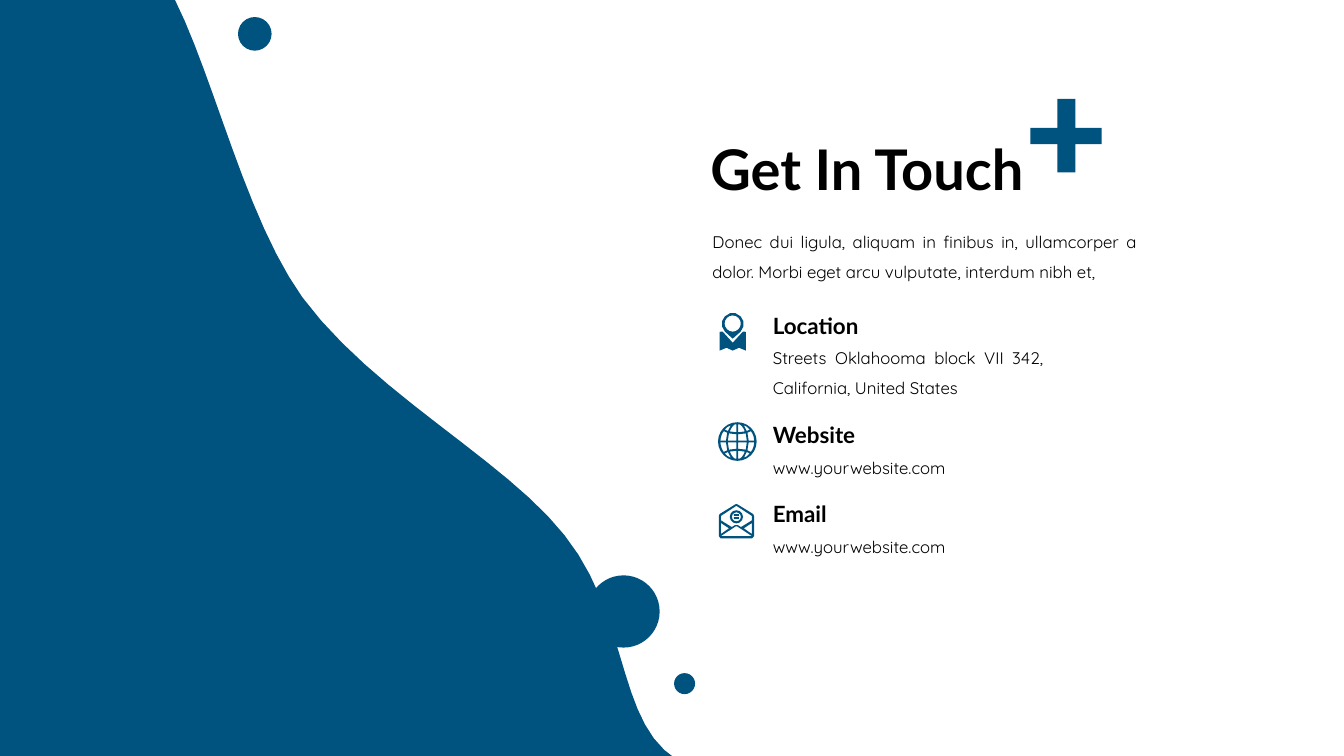
"""Build a contact slide with a blue wave, dots, icons and contact details."""
import math
import pptx
import pptx.dml.color
import pptx.enum.shapes
import pptx.enum.text
import pptx.util

Pt = pptx.util.Pt
color = pptx.dml.color.RGBColor.from_string
BLUE = "00527F"
BLACK = "000000"

deck = pptx.Presentation()
deck.slide_width, deck.slide_height = Pt(960), Pt(540)
page = deck.slides.add_slide(deck.slide_layouts[6])


def add_text(text, left, top, width, height, size=12, font="Quicksand", bold=False,
             spacing=1.5, align=pptx.enum.text.PP_ALIGN.JUSTIFY,
             anchor=pptx.enum.text.MSO_ANCHOR.TOP,
             fit=pptx.enum.text.MSO_AUTO_SIZE.SHAPE_TO_FIT_TEXT):
    box = page.shapes.add_textbox(Pt(left), Pt(top), Pt(width), Pt(height))
    frame = box.text_frame
    frame.word_wrap = True
    frame.auto_size = fit
    frame.vertical_anchor = anchor
    para = frame.paragraphs[0]
    para.alignment = align
    para.line_spacing = spacing
    span = para.add_run()
    span.text = text
    span.font.size = Pt(size)
    span.font.name = font
    span.font.bold = bold
    span.font.color.rgb = color(BLACK)


def add_outline(contours, pieces):
    """Draw closed contours: 2 numbers make a line, 6 make a curve of some pieces."""
    builder = None
    for contour in contours:
        points = []
        for step in contour:
            if len(step) == 2:
                points.append(step)
                continue
            x0, y0 = points[-1]
            x1, y1, x2, y2, x3, y3 = step
            for i in range(1, pieces + 1):
                t = i / pieces
                a, b, c, d = (1 - t) ** 3, 3 * t * (1 - t) ** 2, 3 * t * t * (1 - t), t ** 3
                points.append((a * x0 + b * x1 + c * x2 + d * x3,
                               a * y0 + b * y1 + c * y2 + d * y3))
        corners = [(Pt(x), Pt(y)) for x, y in points]
        if builder is None:
            builder = page.shapes.build_freeform(*corners[0], scale=1.0)
        else:
            builder.move_to(*corners[0])
        builder.add_line_segments(corners[1:], close=True)
    return builder.convert_to_shape()


circles = {
    name: [(x + radius * math.cos(math.tau * i / count),
            y + radius * math.sin(math.tau * i / count)) for i in range(count)]
    for name, x, y, radius, count in [
        ("pin hole", 523.4, 231.1, 5.8, 16),
        ("globe", 526.7, 315.4, 13.8, 24),
        ("seal", 526, 369.2, 4.7, 12),
        ("seal hole", 526, 369.2, 3.2, 12),
    ]
}

wave = [[(0, 0), (125, 0),
         (153.4, 56.9, 175.7, 156.2, 216, 212.4),
         (266.4, 280.8, 360.7, 328.3, 403.2, 382.3),
         (446.4, 436.3, 441.4, 505.4, 474.5, 535.7),
         (480, 540), (0, 540)]]

plus = [[(755.3, 70.6), (768.2, 70.6), (768.2, 91.4), (787, 91.4), (787, 103), (768.2, 103),
         (768.2, 123.1), (755.3, 123.1), (755.3, 103), (736, 103), (736, 91.4), (755.3, 91.4)]]

pin = [
    [(523.4, 241.9), (529.1, 236.8), (532, 233.5, 532, 229, 529.1, 226),
     (525.7, 222.6, 521.2, 222.6, 517.8, 226), (514.8, 229, 514.8, 233.5, 517.8, 236.8)],
    circles["pin hole"],
    [(514.1, 237), (516.2, 236.9), (523.4, 244.8), (530.7, 236.9), (532.8, 237),
     (532.8, 250.4), (527.9, 248.4), (523.4, 250.4), (519, 248.4), (514.1, 250.4)],
]

quarter_cells = [
    [(0.6, 12.2), (0.6, 6.6), (5.4, 7.2), (4.5, 9.5, 3.2, 11.5, 1.8, 12.2)],
    [(0.6, 0.6), (6.8, 0.6), (6, 5.8), (0.6, 5.2)],
    [(8.1, 0.6), (12.1, 0.6), (11.9, 3.4, 11.1, 5.7, 9.7, 7.4), (7.2, 6.3)],
    [(8.9, 8.5), (6.7, 7.5), (4.7, 11.6), (7, 10.4)],
]
globe = [circles["globe"]]
for flip_x in (1, -1):
    for flip_y in (1, -1):
        for cell in quarter_cells:
            globe.append([
                tuple(315.4 + flip_y * value if i % 2 else 526.7 + flip_x * value
                      for i, value in enumerate(step))
                for step in cell])

envelope = [
    [(514, 367.2), (525, 360.4), (526, 360), (527, 360.4), (538, 367.2),
     (538.6, 368.6), (538.6, 383), (537.2, 384.6), (514.8, 384.6),
     (513.4, 383), (513.4, 368.6)],
    [(514.9, 373.6), (520.7, 377.4), (514.9, 381.5)],
    [(537.1, 373.6), (531.3, 377.4), (537.1, 381.5)],
    [(514.9, 383), (525.5, 376), (526.5, 376), (537.1, 383)],
    [(514.9, 371.7), (514.9, 368.6), (525.6, 361.6), (526.4, 361.6), (537.1, 368.6),
     (537.1, 371.7), (529.3, 376.5), (527, 375.1), (525, 375.1), (522.7, 376.5)],
    circles["seal"],
    circles["seal hole"],
]
for bar_top in (367.2, 369.4):
    envelope.append([(524.2, bar_top), (527.8, bar_top),
                     (527.8, bar_top + 1.3), (524.2, bar_top + 1.3)])

blue_shapes = [add_outline(wave, 12)]
for outline in (plus, pin, globe, envelope):
    blue_shapes.append(add_outline(outline, 3))
for left, top, diameter in [(170, 12.2, 24), (481.5, 480.8, 15), (419.6, 411, 51.6)]:
    blue_shapes.append(page.shapes.add_shape(
        pptx.enum.shapes.MSO_SHAPE.OVAL, Pt(left), Pt(top), Pt(diameter), Pt(diameter)))
for shape in blue_shapes:
    shape.shadow.inherit = False
    shape.fill.solid()
    shape.fill.fore_color.rgb = color(BLUE)
    shape.line.fill.background()

add_text("Get In Touch", 500.4, 70.6, 365.8, 104.4, size=40, font="Lato", bold=True,
         spacing=0.9, align=pptx.enum.text.PP_ALIGN.LEFT,
         anchor=pptx.enum.text.MSO_ANCHOR.MIDDLE, fit=pptx.enum.text.MSO_AUTO_SIZE.NONE)
add_text("Donec dui ligula, aliquam in finibus in, ullamcorper a dolor. "
         "Morbi eget arcu vulputate, interdum nibh et,", 501.8, 154.8, 317.5, 51.1)

for heading, detail, top, width, height in [
    ("Location", "Streets Oklahooma block VII 342, California, United States", 209.5, 207.4, 51.1),
    ("Website", "www.yourwebsite.com", 288, 187.2, 28.8),
    ("Email", "www.yourwebsite.com", 344.2, 187.2, 28.8),
]:
    add_text(heading, 545, top, 187.2, 33.1, size=16, font="Lato", bold=True)
    add_text(detail, 545, top + 28.1, width, height)

deck.save("out.pptx")
